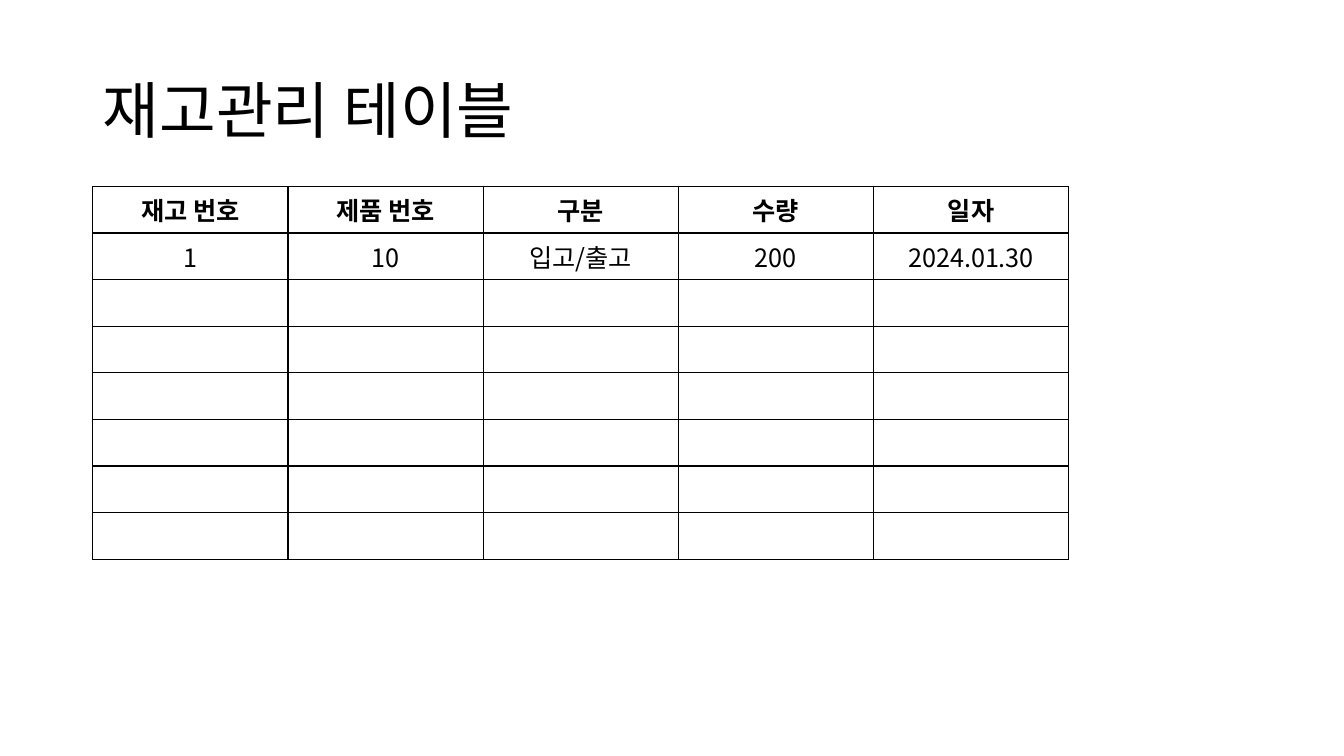
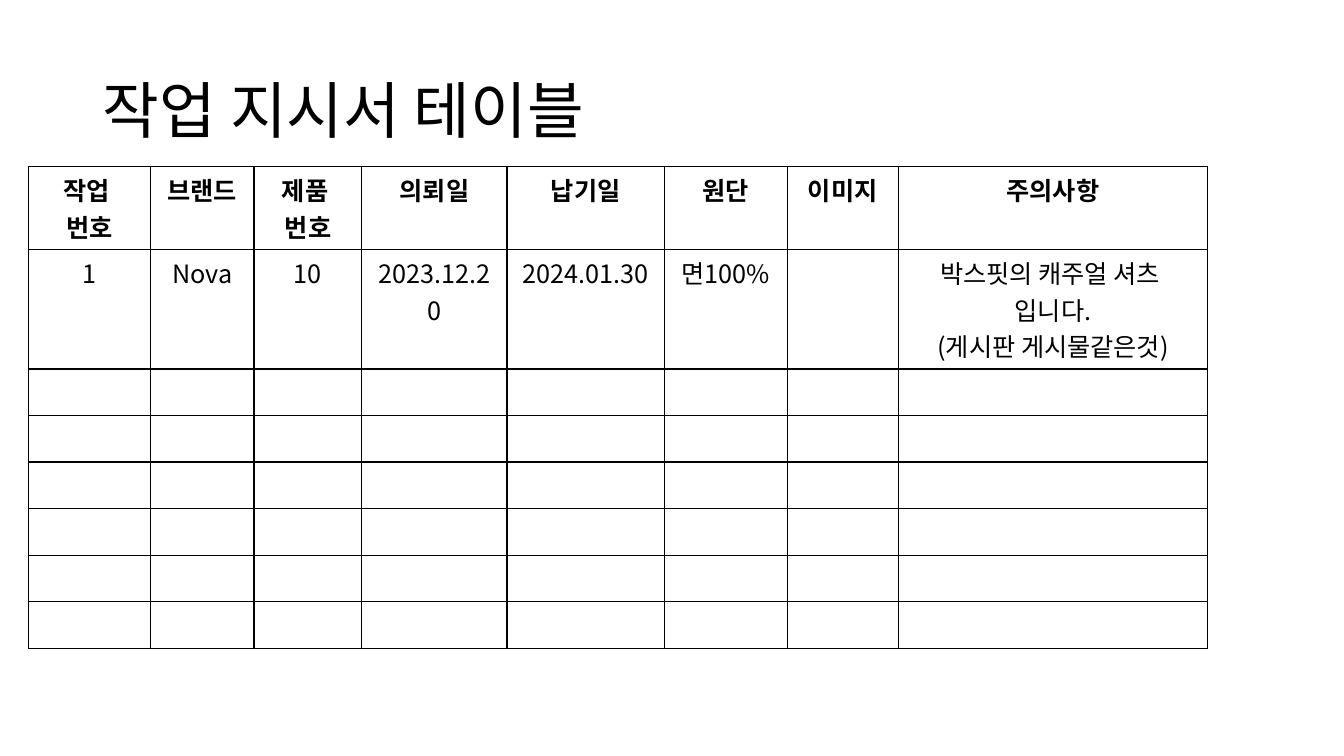
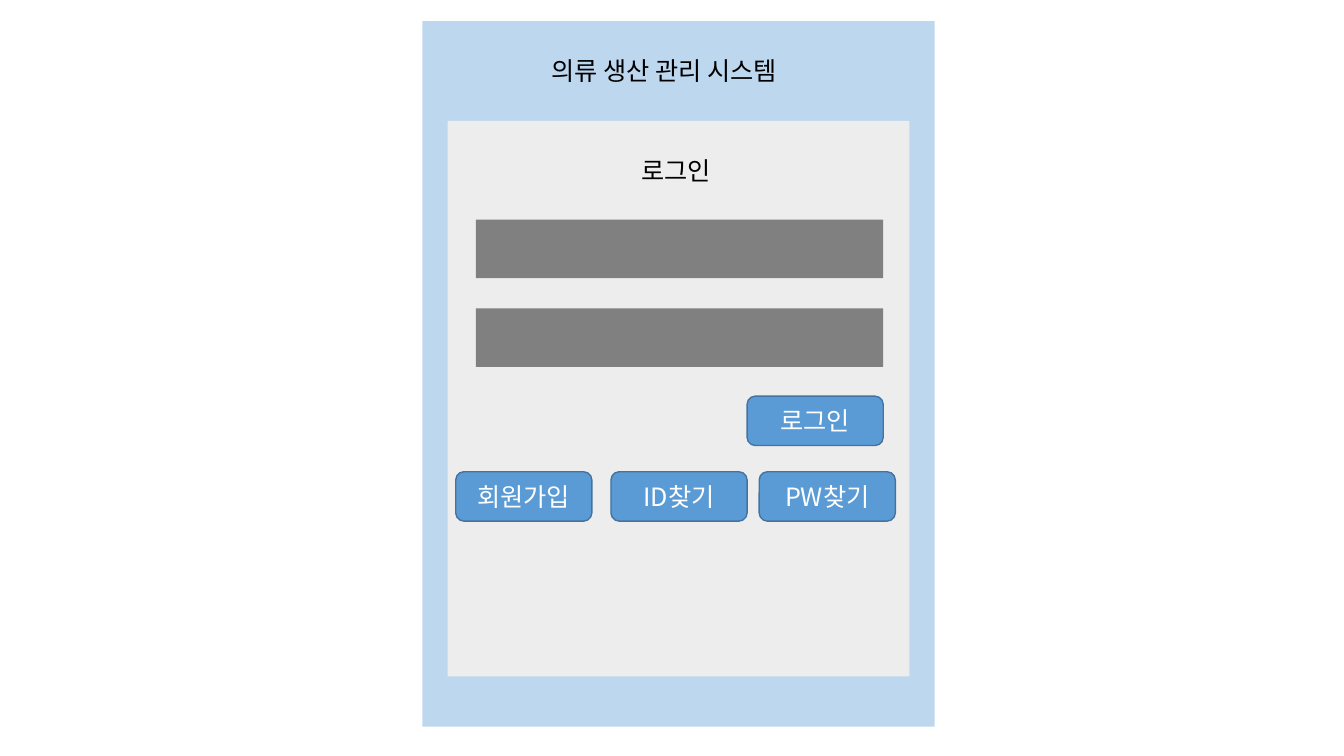
import pptx
import pptx.util
import pptx.dml.color
import pptx.enum.shapes
import pptx.enum.text
import pptx.oxml
import pptx.oxml.ns
from lxml import etree

Inches = pptx.util.Inches
Pt = pptx.util.Pt
RGBColor = pptx.dml.color.RGBColor
MSO_SHAPE = pptx.enum.shapes.MSO_SHAPE
PP_ALIGN = pptx.enum.text.PP_ALIGN
MSO_ANCHOR = pptx.enum.text.MSO_ANCHOR
qn = pptx.oxml.ns.qn

FONT = "Noto Sans CJK KR"
BODY_SIZE = 18
TITLE_SIZE = 44
BLACK = RGBColor(0x00, 0x00, 0x00)
WHITE = RGBColor(0xFF, 0xFF, 0xFF)
PALE_BLUE = RGBColor(0xBD, 0xD7, 0xEE)
PALE_GRAY = RGBColor(0xED, 0xED, 0xED)
FIELD_GRAY = RGBColor(0x80, 0x80, 0x80)
BUTTON_BLUE = RGBColor(0x5B, 0x9B, 0xD5)
BUTTON_EDGE = RGBColor(0x43, 0x73, 0x9E)

TITLE_ONLY, BLANK = 5, 6
ROW_COUNT = 8
ROW_HEIGHT = 0.41


def write(paragraph, text, size=BODY_SIZE, color=BLACK, bold=False, align=PP_ALIGN.LEFT):
    paragraph.alignment = align
    run = paragraph.add_run()
    run.text = text
    font = run.font
    font.name, font.size, font.bold = FONT, Pt(size), bold
    font.color.rgb = color
    etree.SubElement(run._r.get_or_add_rPr(), qn("a:ea"), typeface=FONT)


def set_empty_text_style(paragraph):
    """Give an empty paragraph the body font, which decides its line height."""
    end = etree.SubElement(paragraph._p, qn("a:endParaRPr"), sz=str(BODY_SIZE * 100))
    for script in ("a:latin", "a:ea"):
        etree.SubElement(end, qn(script), typeface=FONT)


def set_borders(cell):
    properties = cell._tc.get_or_add_tcPr()
    for side in ("a:lnL", "a:lnR", "a:lnT", "a:lnB"):
        line = etree.SubElement(properties, qn(side), w=str(Pt(1)))
        fill = etree.SubElement(line, qn("a:solidFill"))
        etree.SubElement(fill, qn("a:srgbClr"), val=str(BLACK))


def fill_cell(cell, text, bold):
    set_borders(cell)
    cell.fill.solid()
    cell.fill.fore_color.rgb = WHITE
    frame = cell.text_frame
    if not text:
        set_empty_text_style(frame.paragraphs[0])
        return
    for index, line in enumerate(text.split("\n")):
        paragraph = frame.add_paragraph() if index else frame.paragraphs[0]
        write(paragraph, line, bold=bold, align=PP_ALIGN.CENTER)


def add_grid(slide, left, top, widths, records):
    """Add a table with a header, the given records and empty rows up to ROW_COUNT."""
    table = slide.shapes.add_table(
        ROW_COUNT, len(widths), Inches(left), Inches(top),
        Inches(sum(widths)), Inches(ROW_HEIGHT * ROW_COUNT)).table
    table.first_row = table.horz_banding = False
    for column, width in zip(table.columns, widths):
        column.width = Inches(width)
    empty_rows = [[""] * len(widths)] * (ROW_COUNT - len(records))
    for row_index, record in enumerate(records + empty_rows):
        table.rows[row_index].height = Inches(ROW_HEIGHT)
        for column_index, text in enumerate(record):
            fill_cell(table.cell(row_index, column_index), text, bold=row_index == 0)


def add_titled_slide(deck, heading):
    slide = deck.slides.add_slide(deck.slide_layouts[TITLE_ONLY])
    title = slide.shapes.title
    title.left, title.top = Inches(0.92), Inches(0.4)
    title.width, title.height = Inches(11.5), Inches(1.45)
    title.text_frame.vertical_anchor = MSO_ANCHOR.MIDDLE
    paragraph = title.text_frame.paragraphs[0]
    paragraph.line_spacing = 0.9
    write(paragraph, heading, size=TITLE_SIZE)
    return slide


def add_panel(slide, left, top, width, height, color, kind=MSO_SHAPE.RECTANGLE):
    panel = slide.shapes.add_shape(
        kind, Inches(left), Inches(top), Inches(width), Inches(height))
    panel.shadow.inherit = False
    panel.fill.solid()
    panel.fill.fore_color.rgb = color
    panel.line.fill.background()
    return panel


def add_button(slide, left, top, label):
    button = add_panel(slide, left, top, 1.35, 0.49, BUTTON_BLUE,
                       MSO_SHAPE.ROUNDED_RECTANGLE)
    button.line.color.rgb = BUTTON_EDGE
    button.line.width = Pt(1)
    button.text_frame.vertical_anchor = MSO_ANCHOR.MIDDLE
    write(button.text_frame.paragraphs[0], label, color=WHITE, align=PP_ALIGN.CENTER)


def add_label(slide, left, top, width, text):
    label = slide.shapes.add_textbox(Inches(left), Inches(top), Inches(width), Inches(0.4))
    label.text_frame.word_wrap = False
    label.text_frame.auto_size = pptx.enum.text.MSO_AUTO_SIZE.SHAPE_TO_FIT_TEXT
    write(label.text_frame.paragraphs[0], text)


def build_stock_slide(deck):
    slide = add_titled_slide(deck, "재고관리 테이블")
    add_grid(slide, 0.92, 1.85, [9.68 / 5] * 5, [
        ["재고 번호", "제품 번호", "구분", "수량", "일자"],
        ["1", "10", "입고/출고", "200", "2024.01.30"],
    ])


def build_work_order_slide(deck):
    slide = add_titled_slide(deck, "작업 지시서 테이블")
    add_grid(slide, 0.28, 1.65, [1.21, 1.03, 1.07, 1.44, 1.56, 1.22, 1.1, 3.07], [
        ["작업 \n번호", "브랜드", "제품 \n번호", "의뢰일", "납기일", "원단", "이미지",
         "주의사항"],
        ["1", "Nova", "10", "2023.12.20", "2024.01.30", "면100%", "",
         "박스핏의 캐주얼 셔츠 \n입니다.\n(게시판 게시물같은것)"],
    ])


def build_login_slide(deck):
    slide = deck.slides.add_slide(deck.slide_layouts[BLANK])
    add_panel(slide, 4.19, 0.21, 5.08, 7, PALE_BLUE)
    add_label(slide, 5.37, 0.5, 2.74, "의류 생산 관리 시스템")
    add_panel(slide, 4.44, 1.2, 4.58, 5.51, PALE_GRAY)
    add_label(slide, 6.26, 1.49, 0.96, "로그인")
    for field_top in (2.18, 3.06):
        add_panel(slide, 4.72, field_top, 4.04, 0.58, FIELD_GRAY)
    add_button(slide, 7.41, 3.93, "로그인")
    for left, label in ((4.52, "회원가입"), (6.06, "ID찾기"), (7.53, "PW찾기")):
        add_button(slide, left, 4.68, label)


def main():
    deck = pptx.Presentation()
    deck.slide_width, deck.slide_height = Inches(13.33), Inches(7.5)
    build_stock_slide(deck)
    build_work_order_slide(deck)
    build_login_slide(deck)
    deck.save("out.pptx")


if __name__ == "__main__":
    main()
